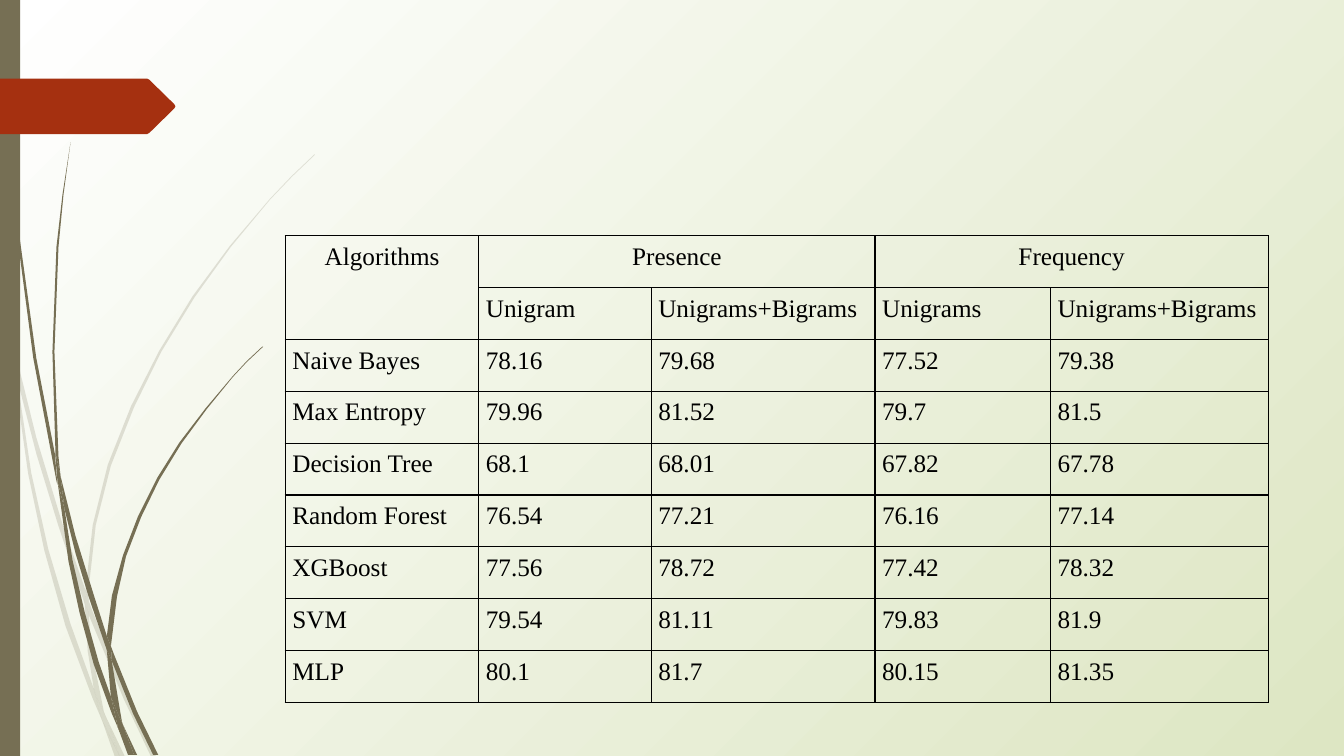
from lxml.etree import SubElement
from pptx import Presentation
from pptx.dml.color import RGBColor
from pptx.enum.shapes import MSO_SHAPE
from pptx.enum.text import MSO_ANCHOR, PP_ALIGN
from pptx.oxml.ns import qn
from pptx.util import Inches, Pt

OLIVE = "766F54"
RUST = "A53010"
BLACK = "000000"
FONT = "Times New Roman"

PALE_BLADES = [
    [(0.11, 3.5), (0.09, 3.22), (0, 2.82), (0, 2.99), (0.1, 3.44)],
    [(0.58, 5.22), (0.84, 5.99), (0.85, 5.86), (0.62, 5.2), (0.36, 4.34), (0.14, 3.45),
     (0.17, 3.76), (0.36, 4.5)],
    [(0.92, 6.07), (0.88, 5.96), (0.88, 6.1), (1.23, 6.94), (1.5, 7.51), (1.55, 7.51),
     (1.27, 6.92)],
    [(1.19, 7.51), (1.24, 7.51), (1.05, 7.11)],
    [(0.93, 6.83), (0.7, 6.19), (0.48, 5.45), (0.31, 4.69), (0.17, 3.76), (0.11, 3.5),
     (0.28, 4.7), (0.44, 5.46), (0.65, 6.21), (0.92, 6.93), (1.01, 7.14), (0.99, 7.07)],
    [(0.84, 5.99), (0.87, 6.46), (0.93, 6.83), (0.96, 6.92), (1.05, 7.11), (1.03, 7.06),
     (0.91, 6.46), (0.88, 6.1), (0.88, 6.08)],
    [(0.88, 5.84), (0.95, 5.21), (1.1, 4.62), (1.33, 4.04), (1.6, 3.49), (1.93, 2.95),
     (2.29, 2.45), (2.68, 1.98), (2.9, 1.75), (3.12, 1.54), (3.12, 1.53), (2.89, 1.75),
     (2.68, 1.97), (2.28, 2.44), (1.91, 2.94), (1.58, 3.48), (1.3, 4.03), (1.07, 4.61),
     (0.92, 5.21), (0.85, 5.84), (0.85, 5.86), (0.88, 5.96)],
    [(1.01, 7.14), (1.14, 7.51), (1.19, 7.51)],
    [(0.88, 6.08), (0.88, 6.1), (0.88, 5.96), (0.85, 5.86), (0.84, 5.99)],
    [(0.96, 6.92), (0.93, 6.83), (0.99, 7.07), (1.01, 7.14), (1.19, 7.51), (1.05, 7.11)],
]

DARK_BLADES = [
    [(0.07, 1.1), (0.17, 2.33), (0.33, 3.55), (0.56, 4.77), (0.57, 4.81), (0.55, 4.57),
     (0.55, 4.53), (0.36, 3.55), (0.19, 2.32), (0.08, 1.09), (0.05, 0.48), (0.04, 0),
     (0.03, 0), (0.04, 0.48)],
    [(0.88, 5.92), (1.06, 6.45), (1.06, 6.33), (1.06, 6.31), (0.93, 5.9), (0.75, 5.32),
     (0.6, 4.72), (0.64, 5.05), (0.75, 5.49)],
    [(1.13, 6.49), (1.1, 6.41), (1.11, 6.56), (1.32, 7.08), (1.52, 7.49), (1.57, 7.49),
     (1.36, 7.06)],
    [(1.1, 6.91), (0.98, 6.57), (0.84, 6.07), (0.72, 5.56), (0.64, 5.05), (0.57, 4.77),
     (0.68, 5.57), (0.79, 6.08), (0.93, 6.59), (1.11, 7.08), (1.17, 7.22), (1.16, 7.17)],
    [(0.6, 4.72), (0.58, 4.53), (0.54, 3.49), (0.58, 2.45), (0.63, 1.93), (0.7, 1.41),
     (0.62, 1.93), (0.56, 2.45), (0.52, 3.49), (0.55, 4.49)],
    [(1.33, 7.49), (1.36, 7.49), (1.22, 7.19)],
    [(0.57, 4.77), (0.64, 5.05), (0.6, 4.72), (0.55, 4.49), (0.55, 4.53)],
    [(1.11, 6.33), (1.16, 5.92), (1.25, 5.52), (1.4, 5.13), (1.58, 4.76), (1.8, 4.4),
     (2.05, 4.06), (2.31, 3.74), (2.45, 3.59), (2.61, 3.44), (2.6, 3.44), (2.45, 3.58),
     (2.31, 3.73), (2.04, 4.05), (1.78, 4.39), (1.56, 4.74), (1.37, 5.12), (1.22, 5.51),
     (1.11, 5.91), (1.06, 6.31), (1.1, 6.41)],
    [(1.17, 7.22), (1.27, 7.49), (1.31, 7.49)],
    [(1.06, 6.45), (1.1, 6.91), (1.16, 7.06), (1.22, 7.19), (1.21, 7.16), (1.11, 6.56),
     (1.09, 6.51)],
    [(1.06, 6.45), (1.09, 6.51), (1.11, 6.56), (1.1, 6.41), (1.06, 6.31), (1.06, 6.33)],
    [(1.16, 7.06), (1.1, 6.91), (1.16, 7.17), (1.17, 7.22), (1.3, 7.49), (1.33, 7.49),
     (1.22, 7.19)],
]

COLUMN_WIDTHS = [1.92, 1.71, 2.22, 1.74, 2.16]
TABLE_HEIGHT = 4.63
ACCURACY_ROWS = [
    ["Algorithms", "Presence", "", "Frequency", ""],
    ["", "Unigram", "Unigrams+Bigrams", "Unigrams", "Unigrams+Bigrams"],
    ["Naive Bayes", "78.16", "79.68", "77.52", "79.38"],
    ["Max Entropy", "79.96", "81.52", "79.7", "81.5"],
    ["Decision Tree", "68.1", "68.01", "67.82", "67.78"],
    ["Random Forest", "76.54", "77.21", "76.16", "77.14"],
    ["XGBoost", "77.56", "78.72", "77.42", "78.32"],
    ["SVM", "79.54", "81.11", "79.83", "81.9"],
    ["MLP", "80.1", "81.7", "80.15", "81.35"],
]
HEADER_SPANS = [((0, 0), (1, 0)), ((0, 1), (0, 2)), ((0, 3), (0, 4))]


def color(hex_string):
    return RGBColor.from_string(hex_string)


def paint(shape, hex_string, opacity=100):
    shape.shadow.inherit = False
    shape.line.fill.background()
    shape.fill.solid()
    shape.fill.fore_color.rgb = color(hex_string)
    if opacity < 100:
        fill_color = shape._element.spPr.find(qn("a:solidFill"))[0]
        SubElement(fill_color, qn("a:alpha"), val=str(opacity * 1000))


def add_outline(shapes, left, top, points):
    vertices = [(Inches(left + x), Inches(top + y)) for x, y in points]
    builder = shapes.build_freeform(*vertices[0])
    builder.add_line_segments(vertices[1:], close=True)
    return builder.convert_to_shape()


def add_grass(slide, left, top, blades, opacity):
    group = slide.shapes.add_group_shape()
    for blade in blades:
        paint(add_outline(group.shapes, left, top, blade), OLIVE, opacity)


def add_side_bar(slide, left, top, width, height):
    bar = slide.shapes.add_shape(
        MSO_SHAPE.RECTANGLE, Inches(left), Inches(top), Inches(width), Inches(height))
    paint(bar, OLIVE)


def add_page_arrow(slide, left, top, width, height):
    shoulder = width - 0.28
    middle = height / 2
    upper_edge = [(0, 0), (shoulder, 0), (shoulder + 0.02, 0.01),
                  (width - 0.01, middle - 0.02)]
    lower_edge = [(x, height - y) for x, y in reversed(upper_edge)]
    outline = upper_edge + [(width, middle)] + lower_edge
    paint(add_outline(slide.shapes, left, top, outline), RUST)


def set_background(slide):
    fill = slide.background.fill
    fill.gradient()
    for stop, position, shade in zip(fill.gradient_stops, (0, 1), ("FFFFFF", "DDE6C3")):
        stop.position = position
        stop.color.rgb = color(shade)
    gradient = slide.element.find(".//" + qn("a:gradFill"))
    gradient.remove(gradient.find(qn("a:lin")))
    circle = SubElement(gradient, qn("a:path"), path="circle")
    SubElement(circle, qn("a:fillToRect"), r="100000", b="100000")


def format_cell(cell, text, alignment):
    properties = cell._tc.get_or_add_tcPr()
    for side in ("lnL", "lnR", "lnT", "lnB"):
        border = SubElement(properties, qn("a:" + side), w=str(Pt(1)))
        SubElement(SubElement(border, qn("a:solidFill")), qn("a:srgbClr"), val=BLACK)
    cell.fill.background()
    cell.margin_left = cell.margin_right = Inches(0.07)
    cell.margin_top = cell.margin_bottom = Inches(0.07)
    cell.vertical_anchor = MSO_ANCHOR.TOP
    cell.text = text
    paragraph = cell.text_frame.paragraphs[0]
    paragraph.alignment = alignment
    paragraph.font.name = FONT
    paragraph.font.size = Pt(18)
    paragraph.font.color.rgb = color(BLACK)


def add_accuracy_table(slide, left, top):
    row_count = len(ACCURACY_ROWS)
    table = slide.shapes.add_table(
        row_count, len(COLUMN_WIDTHS), Inches(left), Inches(top),
        Inches(sum(COLUMN_WIDTHS)), Inches(TABLE_HEIGHT)).table
    table.first_row = False
    table.horz_banding = False
    for column, width in zip(table.columns, COLUMN_WIDTHS):
        column.width = Inches(width)
    for row_index, texts in enumerate(ACCURACY_ROWS):
        table.rows[row_index].height = Inches(TABLE_HEIGHT / row_count)
        alignment = PP_ALIGN.CENTER if row_index == 0 else PP_ALIGN.LEFT
        for column_index, text in enumerate(texts):
            format_cell(table.cell(row_index, column_index), text, alignment)
    for first, last in HEADER_SPANS:
        table.cell(*first).merge(table.cell(*last))


def main():
    presentation = Presentation()
    presentation.slide_width = Inches(13.33)
    presentation.slide_height = Inches(7.5)
    slide = presentation.slides.add_slide(presentation.slide_layouts[6])
    set_background(slide)
    add_grass(slide, 0, 0, PALE_BLADES, 20)
    add_grass(slide, 0, 0, DARK_BLADES, 100)
    add_side_bar(slide, 0, 0, 0.2, 7.5)
    add_page_arrow(slide, 0, 0.78, 1.74, 0.55)
    add_accuracy_table(slide, 2.83, 2.34)
    presentation.save("out.pptx")


if __name__ == "__main__":
    main()
